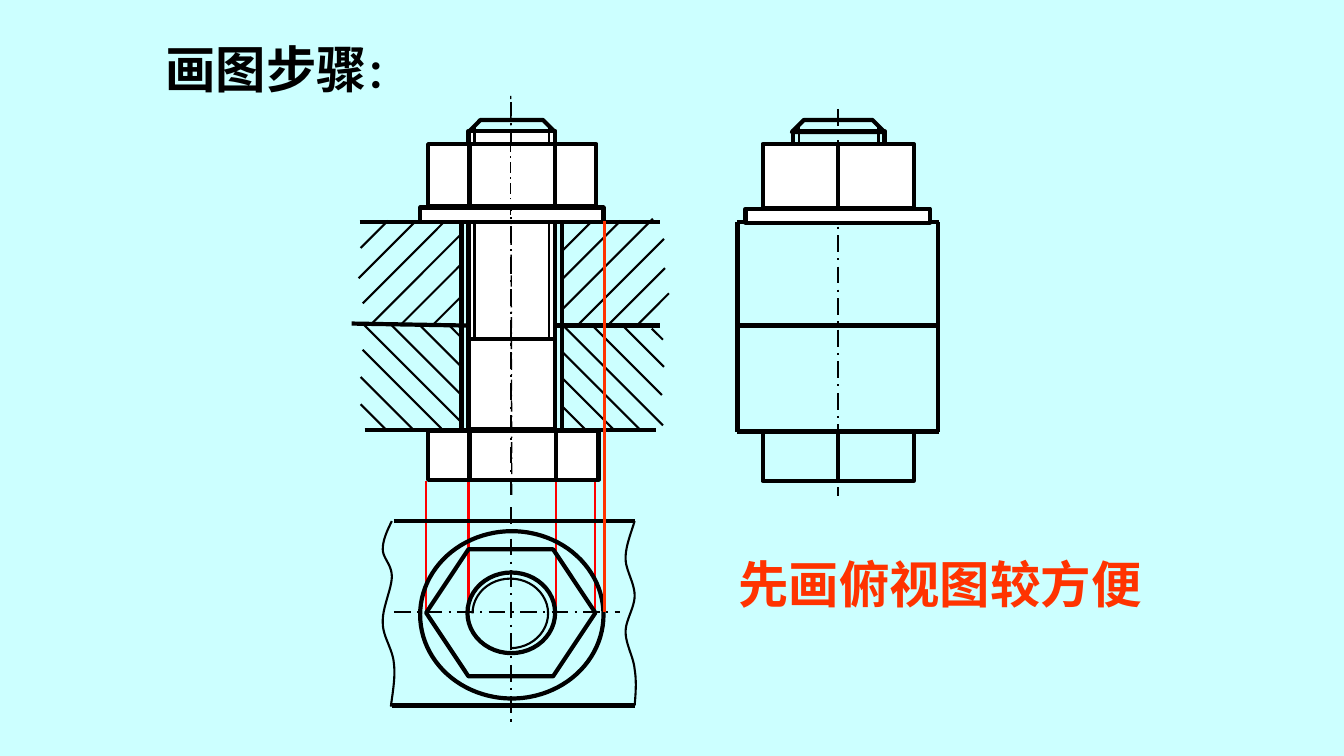
from lxml import etree
from pptx import Presentation
from pptx.dml.color import RGBColor
from pptx.enum.dml import MSO_LINE
from pptx.enum.shapes import MSO_CONNECTOR, MSO_SHAPE
from pptx.enum.text import MSO_ANCHOR, PP_ALIGN
from pptx.oxml.ns import qn
from pptx.util import Inches, Pt

RECT, OVAL = MSO_SHAPE.RECTANGLE, MSO_SHAPE.OVAL
HEX, ARC = MSO_SHAPE.HEXAGON, MSO_SHAPE.ARC
STRAIGHT = MSO_CONNECTOR.STRAIGHT
DASH = MSO_LINE.LONG_DASH_DOT
MIDDLE, CENTER = MSO_ANCHOR.MIDDLE, PP_ALIGN.CENTER
BLACK, WHITE, RED, ORANGE, SKY = "000000", "FFFFFF", "FF0000", "FF3300", "CCFFFF"
THICK, THIN, FINE = 3, 1.5, 1

# Hatch strokes: start x, start y, run at 45 degrees
RISING = [
    (0, 1.46, .27), (-.02, 1.76, .57), (.02, 2.01, .81), (.1, 2.22, .9),
    (.4, 2.22, .61), (.72, 2.22, .28), (2, 1.49, .29), (2, 1.77, .58),
    (2, 2.07, .9), (2.17, 2.21, .84), (2.47, 2.21, .55), (2.76, 2.21, .3)]
FALLING = [
    (.87, 2.22, .14), (.58, 2.22, .42), (.3, 2.22, .7), (.03, 2.22, .97),
    (.02, 2.47, .78), (0, 2.74, .52), (0, 3.01, .25), (2, 2.22, 1),
    (2, 2.49, .78), (1.99, 2.74, .53), (2.01, 3.04, .23), (2.29, 2.22, .7),
    (2.59, 2.22, .42), (2.89, 2.26, .11)]

# Break lines of the plate: a start, then three Bezier points per piece
LEFT_EDGE = [
    (.31, .17), (.26, .27), (.22, .36), (.22, .45), (.22, .54), (.31, .6),
    (.31, .72), (.31, .84), (.21, 1.04), (.22, 1.18), (.22, 1.32),
    (.32, 1.44), (.33, 1.58), (.35, 1.72), (.31, 1.92), (.3, 2.01)]
RIGHT_EDGE = [
    (2.72, .17), (2.68, .3), (2.63, .42), (2.63, .54), (2.63, .66),
    (2.72, .78), (2.72, .91), (2.72, 1.03), (2.63, 1.15), (2.63, 1.27),
    (2.63, 1.39), (2.71, 1.52), (2.72, 1.64), (2.74, 1.76), (2.73, 1.88),
    (2.72, 2)]


def color(code):
    return RGBColor.from_string(code)


def style(shape, width, fill=None):
    shape.shadow.inherit = False
    if fill:
        shape.fill.solid()
        shape.fill.fore_color.rgb = color(fill)
    else:
        shape.fill.background()
    shape.line.color.rgb = color(BLACK)
    shape.line.width = Pt(width)


def line(slide, box, x1, y1, x2, y2, width=THICK, ink=BLACK, dash=None):
    left, top = box
    link = slide.shapes.add_connector(
        STRAIGHT, Inches(left + x1), Inches(top + y1),
        Inches(left + x2), Inches(top + y2))
    link.line.color.rgb = color(ink)
    link.line.width = Pt(width)
    if dash:
        link.line.dash_style = dash
    etree.SubElement(link._element.spPr, qn("a:effectLst"))
    return link


def shape(slide, box, kind, x, y, w, h, fill=None, width=THICK):
    left, top = box
    item = slide.shapes.add_shape(
        kind, Inches(left + x), Inches(top + y), Inches(w), Inches(h))
    style(item, width, fill)
    return item


def outline(slide, box, points, width, close):
    left, top = box
    spots = [(Inches(left + x), Inches(top + y)) for x, y in points]
    form = slide.shapes.build_freeform(*spots[0])
    form.add_line_segments(spots[1:], close=close)
    style(form.convert_to_shape(), width)


def curve(points, steps=12):
    result = [points[0]]
    for i in range(0, len(points) - 1, 3):
        a, b, c, d = points[i:i + 4]
        for n in range(1, steps + 1):
            t = n / steps
            u = 1 - t
            result.append(tuple(
                u**3 * a[k] + 3 * u*u*t * b[k] + 3 * u*t*t * c[k] + t**3 * d[k]
                for k in (0, 1)))
    return result


def tip(slide, box, mid, half):
    points = [(mid - half, .31), (mid + half, .31),
              (mid + half - .12, .19), (mid - half + .12, .19)]
    outline(slide, box, points, THICK, True)


def split(slide, rect):
    # Vertical edge from the top middle to the bottom middle
    edge = line(slide, (0, 0), 0, 0, 1, 1)
    edge.begin_connect(rect, 0)
    edge.end_connect(rect, 2)


def plates(slide, box):
    for ends in [(-.01, 1.2, 2.97, 1.2), (.04, 3.27, 2.93, 3.27),
                 (-.09, 2.21, 1.07, 2.23), (1.94, 2.23, 2.97, 2.23)]:
        line(slide, box, *ends)
    for strokes, sign in [(RISING, -1), (FALLING, 1)]:
        for x, y, run in strokes:
            line(slide, box, x, y, x + run, y + sign * run, THIN)
    for x in (1, 2):
        line(slide, box, x, 1.2, x, 3.27)


def front(slide, box):
    mid = 1.5
    # Bolt with thread and head
    tip(slide, box, mid, .43)
    shape(slide, box, RECT, mid - .43, .3, .86, 2.96, WHITE)
    shape(slide, box, RECT, .67, 3.27, 1.69, .49, WHITE)
    line(slide, box, 1.07, 2.36, 1.94, 2.36)
    for x in (1.13, 1.87):
        line(slide, box, x, 2.36, x, .24, THIN)
    for x in (1.08, 1.94):
        line(slide, box, x, 3.28, x, 3.77)
    line(slide, box, mid, 3.91, 1.49, -.05, FINE, dash=DASH)
    # Washer, axis and nut
    shape(slide, box, RECT, .59, 1.06, 1.82, .14, WHITE)
    line(slide, box, 1.49, 3.91, 1.49, .01, THIN, dash=DASH)
    shape(slide, box, RECT, .67, .43, 1.67, .62, WHITE)
    for x in (1.08, 1.93):
        line(slide, box, x, 1.06, x, .43)
    line(slide, box, 1.49, 1.13, 1.49, .35, FINE, dash=DASH)


def plan(slide, box):
    # Nut, washer and bolt end
    thread = shape(slide, box, ARC, 1.11, .74, .75, .69, width=THIN)
    thread.adjustments[0] = 108
    thread.adjustments[1] = 54
    nut = shape(slide, box, HEX, .65, .45, 1.68, 1.26)
    nut.adjustments[0] = .333
    shape(slide, box, OVAL, .59, .27, 1.82, 1.66)
    shape(slide, box, OVAL, 1.06, .68, .87, .8)
    # Axes
    line(slide, box, .33, 1.07, 2.57, 1.07, THIN, dash=DASH)
    line(slide, box, 1.49, .03, 1.49, 2.17, THIN, dash=DASH)
    # Broken plate
    for edge in (LEFT_EDGE, RIGHT_EDGE):
        outline(slide, box, curve(edge), THIN, False)
    line(slide, box, .33, .17, 2.72, .17)
    line(slide, box, .31, 2, 2.72, 2)


def side(slide, box):
    mid = 1
    # Axis and thread
    line(slide, box, mid, .08, mid, 3.92, THIN, dash=DASH)
    for x in (.61, 1.4):
        line(slide, box, x, .91, x, .24, THIN)
    tip(slide, box, mid, .46)
    shape(slide, box, RECT, .55, .3, .91, .62)
    # Plates
    for y in (1.2, 2.23, 3.28):
        line(slide, box, 0, y, 2, y)
    for x in (0, 1.99):
        line(slide, box, x, 1.2, x, 3.29)
    # Washer, nut and head
    shape(slide, box, RECT, .08, 1.07, 1.83, .14, WHITE)
    split(slide, shape(slide, box, RECT, .25, .43, 1.5, .64, WHITE))
    split(slide, shape(slide, box, RECT, .25, 3.28, 1.5, .49))


def label(slide, box, parts, ink):
    frame = slide.shapes.add_textbox(*map(Inches, box)).text_frame
    frame.word_wrap = False
    frame.vertical_anchor = MIDDLE
    para = frame.paragraphs[0]
    para.alignment = CENTER
    para.font.name = "Times New Roman"
    para.font.bold = True
    para.font.size = Pt(36)
    para.font.color.rgb = color(ink)
    for text, size in parts:
        run = para.add_run()
        run.text = text
        if size != 36:
            run.font.size = Pt(size)


def main():
    deck = Presentation()
    deck.slide_width, deck.slide_height = Inches(13.34), Inches(7.5)
    slide = deck.slides.add_slide(deck.slide_layouts[6])
    slide.background.fill.solid()
    slide.background.fill.fore_color.rgb = color(SKY)
    label(slide, (1.54, .33, 2.59, .7), [("画图步骤", 36), ("：", 28)], BLACK)
    label(slide, (7.23, 5.44, 4.2, .7), [("先画俯视图较方便", 36)], ORANGE)
    view = (3.58, 1)
    plates(slide, view)
    # Projection lines from the front view to the plan
    for x in (.65, 1.07, 1.94, 2.33):
        line(slide, view, x, 3.77, x, 5.08, THIN, RED)
    front(slide, view)
    plan(slide, (3.58, 5))
    side(slide, (7.32, 1))
    line(slide, view, 2.42, 5.07, 2.42, 1.19, THIN, ORANGE)
    deck.save("out.pptx")


if __name__ == "__main__":
    main()
